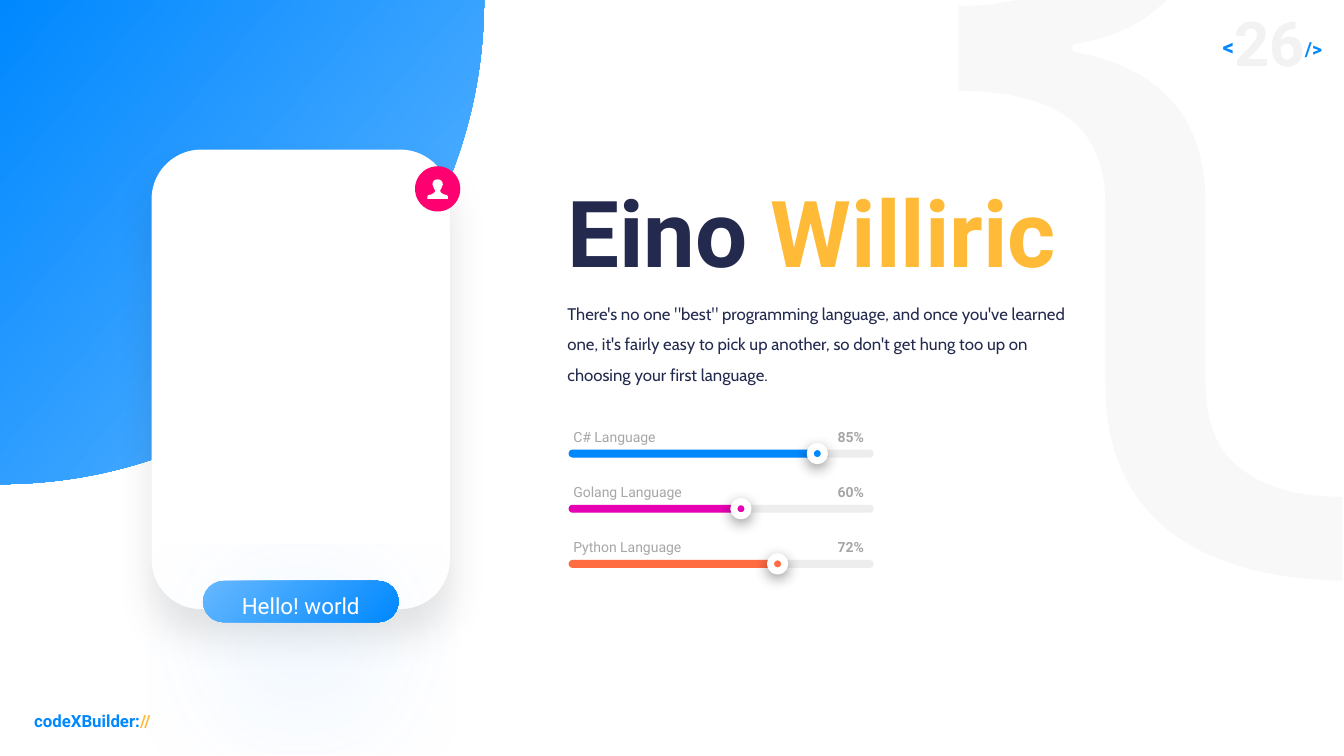
from lxml import etree
from pptx import Presentation
from pptx.dml.color import RGBColor
from pptx.enum.shapes import MSO_SHAPE as Shape
from pptx.enum.text import MSO_ANCHOR as Anchor, MSO_AUTO_SIZE as AutoSize, PP_ALIGN as Align
from pptx.oxml.ns import qn
from pptx.util import Cm, Pt

BLUE = RGBColor(0x00, 0x88, 0xFF)
LIGHT_BLUE = RGBColor(0x66, 0xB8, 0xFF)
NAVY = RGBColor(0x23, 0x2A, 0x4E)
AMBER = RGBColor(0xFF, 0xBB, 0x37)
PINK = RGBColor(0xFF, 0x00, 0x71)
MAGENTA = RGBColor(0xE7, 0x00, 0xB2)
ORANGE = RGBColor(0xFF, 0x6C, 0x41)
GREY = RGBColor(0xA6, 0xA6, 0xA6)
PALE_GREY = RGBColor(0xF2, 0xF2, 0xF2)
WHITE = RGBColor(0xFF, 0xFF, 0xFF)
BLACK = RGBColor(0x00, 0x00, 0x00)

# Brace outline in cm: two numbers make a line, six make a Bezier curve
BRACE = [
    (1.49, 0), (5.25, 0), (4.9, 0.3),
    (4.39, 0.71, 3.7, 0.99, 2.87, 1.12), (2.87, 1.3),
    (5.1, 1.7, 6.22, 2.97, 6.22, 5.13), (6.22, 9.58),
    (6.22, 10.62, 6.5, 11.35, 7.11, 11.81),
    (7.69, 12.27, 8.53, 12.52, 9.67, 12.52), (9.67, 14.63),
    (7.77, 14.6, 6.29, 14.17, 5.25, 13.34),
    (4.21, 12.47, 3.7, 11.28, 3.7, 9.73), (3.7, 5.18),
    (3.7, 4.14, 3.37, 3.4, 2.74, 2.95),
    (2.1, 2.51, 1.19, 2.29, 0, 2.29), (0, 0.15),
    (0.33, 0.15, 0.63, 0.13, 0.91, 0.1),
]
# Right half of the person icon, from the top of the head
PERSON_HALF = [
    (0, 0), (0.08, 0, 0.13, 0.05, 0.13, 0.13),
    (0.13, 0.2, 0.06, 0.25, 0.06, 0.29),
    (0.06, 0.34, 0.1, 0.34, 0.16, 0.38),
    (0.24, 0.38, 0.26, 0.41, 0.26, 0.44), (0.26, 0.49), (0, 0.49),
]
SKILLS = [("C# Language", 85, BLUE), ("Golang Language", 60, MAGENTA),
          ("Python Language", 72, ORANGE)]


def pairs(numbers):
    return list(zip(numbers[::2], numbers[1::2]))


def mirrored(half):
    """The way back from the end of the half outline to its start, flipped."""
    back = []
    for before, part in reversed(list(zip(half, half[1:]))):
        points = pairs(part)[-2::-1] + [before[-2:]]
        back.append(tuple(n for x, y in points for n in (-x, y)))
    return back


def paint(shape, color, alpha=None):
    shape.shadow.inherit = False
    shape.line.fill.background()
    shape.fill.solid()
    shape.fill.fore_color.rgb = color
    if alpha:
        set_alpha(shape._element.spPr.find(qn("a:solidFill"))[0], alpha)


def set_alpha(color_element, percent):
    etree.SubElement(color_element, qn("a:alpha")).set("val", str(percent * 1000))


def paint_gradient(shape, stops, angle):
    shape.fill.gradient()
    shape.fill.gradient_angle = angle
    for stop, (position, color) in zip(shape.fill.gradient_stops, stops):
        stop.position = position
        stop.color.rgb = color


def cast_shadow(shape, color, alpha, blur, distance, scale=100):
    effects = shape._element.spPr.find(qn("a:effectLst"))
    shadow = etree.SubElement(effects, qn("a:outerShdw"), blurRad=str(Pt(blur)),
                              dist=str(Pt(distance)), dir="5400000", sx=str(scale * 1000),
                              sy=str(scale * 1000), algn="ctr", rotWithShape="0")
    set_alpha(etree.SubElement(shadow, qn("a:srgbClr"), val=str(color)), alpha)


def add_shape(slide, kind, left, top, width, height, color, alpha=None, rounding=None):
    shape = slide.shapes.add_shape(kind, Cm(left), Cm(top), Cm(width), Cm(height))
    if rounding:
        shape.adjustments[0] = rounding
    paint(shape, color, alpha)
    return shape


def add_outline(slide, left, top, outline, color, alpha=None):
    corners = [(Cm(left + part[-2]), Cm(top + part[-1])) for part in outline]
    builder = slide.shapes.build_freeform(*corners[0])
    builder.add_line_segments(corners[1:], close=True)
    shape = builder.convert_to_shape()
    # Turn the straight segments of curved parts into Bezier segments
    segments = list(shape._element.iter(qn("a:lnTo")))
    for part, segment in zip(outline[1:], segments):
        if len(part) == 6:
            segment.tag = qn("a:cubicBezTo")
            for index, (x, y) in enumerate(pairs(part)[:2]):
                control = etree.Element(qn("a:pt"), x=str(Cm(left + x) - shape.left),
                                        y=str(Cm(top + y) - shape.top))
                segment.insert(index, control)
    paint(shape, color, alpha)
    return shape


def add_text(slide, left, top, width, height, runs, layout=None, wrap=True, anchor=Anchor.TOP):
    """Each run is (text, size, color, bold, font name, baseline percent)."""
    frame = slide.shapes.add_textbox(Cm(left), Cm(top), Cm(width), Cm(height)).text_frame
    frame_format = {"word_wrap": wrap, "auto_size": AutoSize.SHAPE_TO_FIT_TEXT,
                    "vertical_anchor": anchor}
    for name, value in frame_format.items():
        setattr(frame, name, value)
    paragraph = frame.paragraphs[0]
    for name, value in (layout or {}).items():
        setattr(paragraph, name, value)
    for text, size, color, bold, face, baseline in runs:
        run = paragraph.add_run()
        run.text = text
        for name, value in {"size": Pt(size), "bold": bold, "name": face}.items():
            setattr(run.font, name, value)
        run.font.color.rgb = color
        if baseline:
            run._r.get_or_add_rPr().set("baseline", str(baseline * 1000))


def add_template_marks(slide, width):
    add_text(slide, width - 6.78, 0, 6.48, 2.13,
             [("<", 28, BLUE, True, "Roboto", 30), ("26", 44, PALE_GREY, True, "Roboto", 0),
              ("/>", 24, BLUE, True, "Roboto", 30)],
             {"alignment": Align.RIGHT}, anchor=Anchor.MIDDLE)
    add_text(slide, 0.61, 17.78, 3.76, 0.76,
             [("codeXBuilder:", 12, BLUE, True, "Roboto", 0),
              ("//", 12, AMBER, True, "Roboto", 0)], wrap=False)


def add_backdrop(slide, brace_left, radius):
    add_outline(slide, brace_left, 0, BRACE, PALE_GREY, 50)
    bend = radius * 0.55
    quarter = add_outline(slide, 0, 0, [
        (0, radius), (bend, radius, radius, bend, radius, 0), (0, 0)], BLUE)
    paint_gradient(quarter, [(0.01, LIGHT_BLUE), (1, BLUE)], 140)


def add_profile_card(slide, left, top, width, height):
    card = add_shape(slide, Shape.ROUNDED_RECTANGLE, left, top, width, height, WHITE)
    cast_shadow(card, BLACK, 11, 28, 18)

    # Greeting pill over the lower edge
    pill_width = 4.93
    pill_left, pill_top = left + (width - pill_width) / 2, top + height - 0.71
    pill = add_shape(slide, Shape.ROUNDED_RECTANGLE, pill_left, pill_top, pill_width, 1.04,
                     BLUE, rounding=0.5)
    paint_gradient(pill, [(0, BLUE), (0.99, LIGHT_BLUE)], 0)
    gradient = pill._element.spPr.find(qn("a:gradFill"))
    gradient.remove(gradient.find(qn("a:lin")))
    radial = etree.SubElement(gradient, qn("a:path"), path="circle")
    etree.SubElement(radial, qn("a:fillToRect"), l="100000", t="100000")
    cast_shadow(pill, BLUE, 40, 100, 34, 65)
    add_text(slide, pill_left + 0.5, pill_top + 0.08, pill_width - 1, 0.94,
             [("Hello! world", 16, WHITE, False, "Roboto", 0)],
             {"alignment": Align.CENTER, "line_spacing": 1.1})


def add_person_badge(slide, left, top, size):
    add_shape(slide, Shape.OVAL, left, top, size, size, PINK)
    add_outline(slide, left + size / 2, top + 0.33, PERSON_HALF + mirrored(PERSON_HALF), WHITE)


def add_introduction(slide, left, top, width):
    add_text(slide, left, top, 16.94, 3.05,
             [("Eino ", 66, NAVY, True, "Roboto", 0), ("Williric", 66, AMBER, True, "Roboto", 0)],
             {"line_spacing": 1.1})
    add_text(slide, left, top + 3.27, width, 2.46,
             [("There's no one \"best\" programming language, and once you've learned one, "
               "it's fairly easy to pick up another, so don't get hung too up on choosing "
               "your first language.", 12, NAVY, False, "Cabin", 0)], {"line_spacing": 1.5})


def add_skill(slide, left, top, width, label, percent, color):
    bar_top, bar_height, knob, ring = top + 0.78, 0.2, 0.36, 0.18
    done = width * percent / 100 - (knob + ring) / 2
    add_shape(slide, Shape.ROUNDED_RECTANGLE, left, bar_top, width, bar_height, GREY, 20, 0.5)
    add_shape(slide, Shape.ROUNDED_RECTANGLE, left, bar_top, done, bar_height, color,
              rounding=0.5)
    handle = add_shape(slide, Shape.OVAL, left + done - knob / 2,
                       bar_top + (bar_height - knob) / 2, knob, knob, color)
    handle.line.color.rgb = WHITE
    handle.line.width = Pt(5)
    cast_shadow(handle, BLACK, 40, 10, 3)
    add_text(slide, left - 0.13, top, 4.75, 0.76,
             [(label, 10, GREY, False, "Roboto", 0)], {"line_spacing": 1.3})
    add_text(slide, left + width - 1.27, top, 1.27, 0.76,
             [(f"{percent}%", 10, GREY, True, "Roboto", 0)],
             {"line_spacing": 1.3, "alignment": Align.RIGHT})


def main():
    deck = Presentation()
    deck.slide_width, deck.slide_height = Cm(33.87), Cm(19.05)
    slide = deck.slides.add_slide(deck.slide_layouts[6])
    add_template_marks(slide, 33.87)
    add_backdrop(slide, 24.16, 12.2)
    add_profile_card(slide, 3.82, 3.77, 7.52, 11.58)
    add_introduction(slide, 14.05, 4.01, 13.54)
    for row, skill in enumerate(SKILLS):
        add_skill(slide, 14.33, 10.55 + row * 1.39, 7.69, *skill)
    add_person_badge(slide, 10.46, 4.19, 1.14)
    deck.save("out.pptx")


if __name__ == "__main__":
    main()
